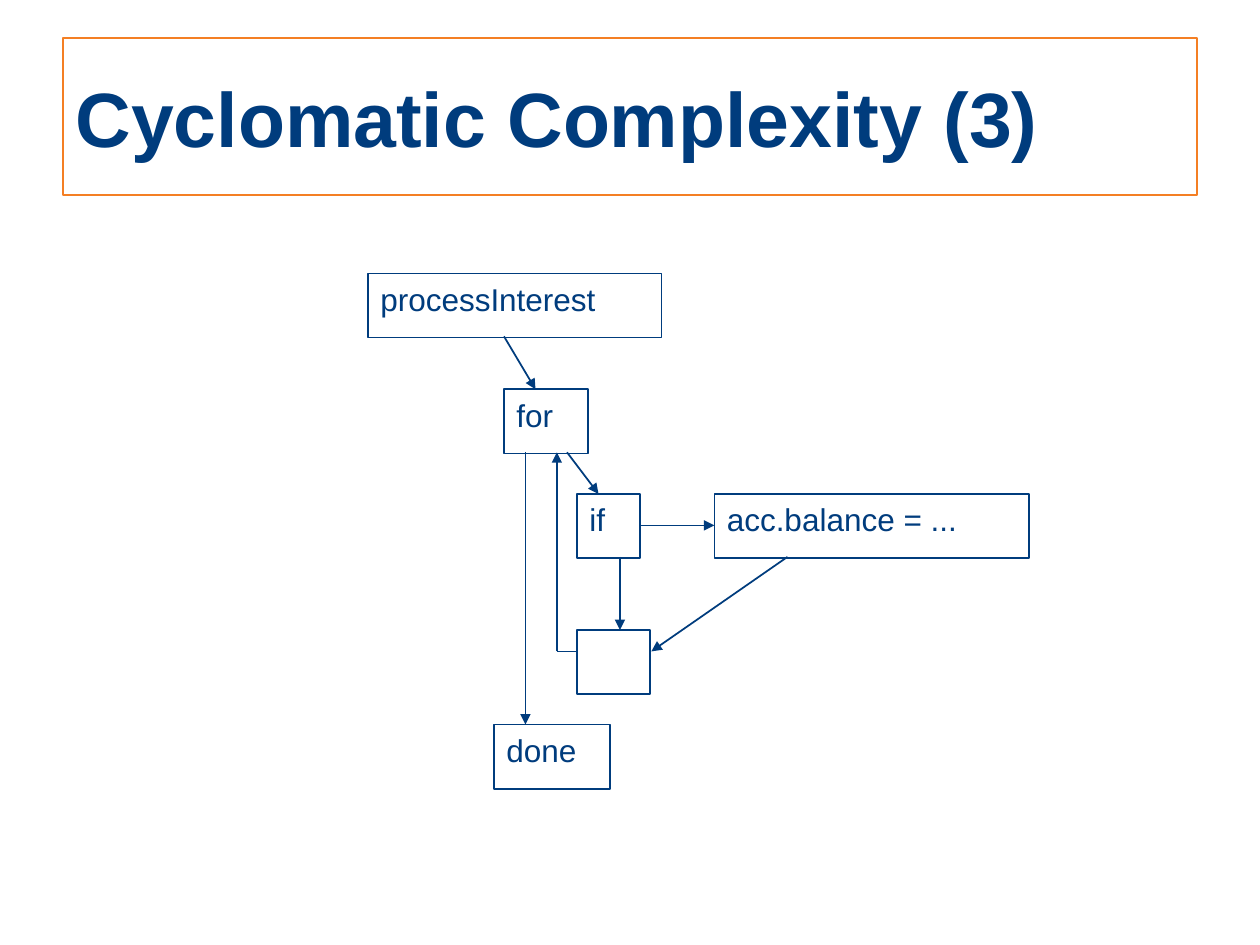
from pptx import Presentation, util as u
from pptx.dml.color import RGBColor
from pptx.enum import shapes, text
from pptx.oxml import ns
from lxml import etree

NAVY = RGBColor(0x00, 0x3C, 0x7D)
ORANGE = RGBColor(0xF4, 0x7F, 0x24)
FONT = "Arial"
TITLE = "Cyclomatic Complexity (3)"
NODE_HEIGHT = 0.51

NODES = [
    ("processInterest", 2.92, 2.17, 2.33),
    ("for", 4, 3.09, 0.67),
    ("if", 4.58, 3.92, 0.5),
    ("acc.balance = ...", 5.67, 3.92, 2.5),
    ("", 4.58, 5, 0.58),
    ("done", 3.92, 5.75, 0.92),
]
EDGES = [
    ((4, 2.67), (4.25, 3.09), True),
    ((4.17, 3.59), (4.17, 5.75), True),
    ((4.5, 3.59), (4.75, 3.92), True),
    ((4.92, 4.42), (4.92, 5), True),
    ((5.08, 4.17), (5.67, 4.17), True),
    ((4.58, 5.17), (4.42, 5.17), False),
    ((4.42, 5.17), (4.42, 3.59), True),
    ((6.25, 4.42), (5.17, 5.17), True),
]


def write(box, words, size=18, bold=False, anchor=text.MSO_ANCHOR.TOP):
    frame = box.text_frame
    frame.word_wrap = True
    frame.auto_size = text.MSO_AUTO_SIZE.NONE
    frame.vertical_anchor = anchor
    para = frame.paragraphs[0]
    para.alignment = text.PP_ALIGN.LEFT
    if words:
        span = para.add_run()
        span.text = words
        span.font.name = FONT
        span.font.size = u.Pt(size)
        span.font.bold = bold
        span.font.color.rgb = NAVY


def outline(item, color):
    item.line.color.rgb = color
    item.line.width = u.Pt(1)


def add_title(page):
    box = page.shapes.title
    box.left, box.top = u.Inches(0.5), u.Inches(0.3)
    box.width, box.height = u.Inches(9), u.Inches(1.25)
    outline(box, ORANGE)
    write(box, TITLE, size=44, bold=True, anchor=text.MSO_ANCHOR.MIDDLE)


def add_node(page, words, left, top, width):
    place = [u.Inches(value) for value in (left, top, width, NODE_HEIGHT)]
    box = page.shapes.add_shape(shapes.MSO_SHAPE.RECTANGLE, *place)
    box.shadow.inherit = False
    box.fill.background()
    outline(box, NAVY)
    write(box, words)


def add_edge(page, start, end, arrow):
    ends = [u.Inches(value) for value in start + end]
    edge = page.shapes.add_connector(shapes.MSO_CONNECTOR.STRAIGHT, *ends)
    outline(edge, NAVY)
    if arrow:
        line = edge.line._get_or_add_ln()
        etree.SubElement(line, ns.qn("a:tailEnd"), type="triangle")
    etree.SubElement(edge._element.spPr, ns.qn("a:effectLst"))


def main():
    deck = Presentation()
    deck.slide_width, deck.slide_height = u.Inches(10), u.Inches(7.5)
    page = deck.slides.add_slide(deck.slide_layouts.get_by_name("Title Only"))
    add_title(page)
    for node in NODES:
        add_node(page, *node)
    for edge in EDGES:
        add_edge(page, *edge)
    deck.save("out.pptx")


if __name__ == "__main__":
    main()
